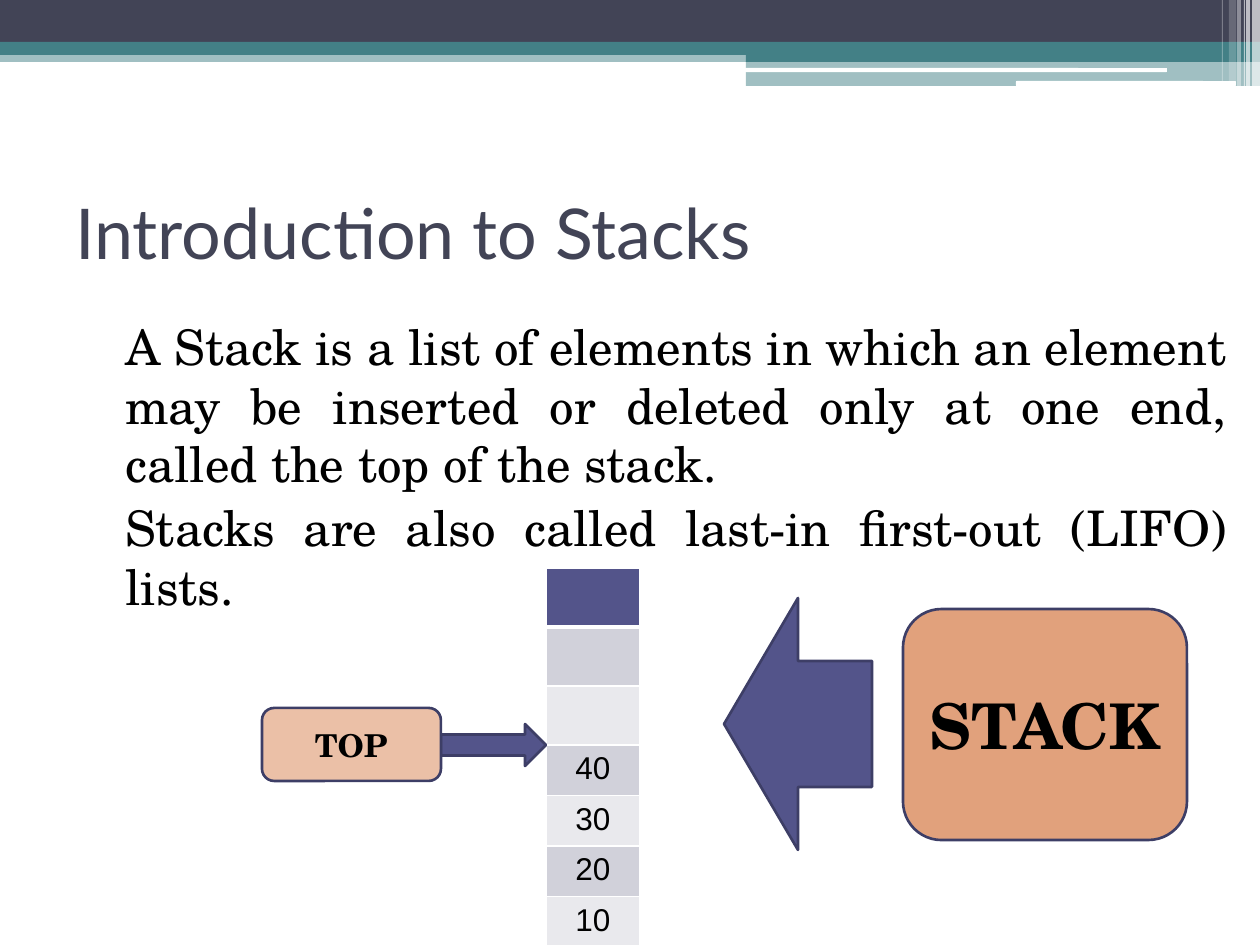
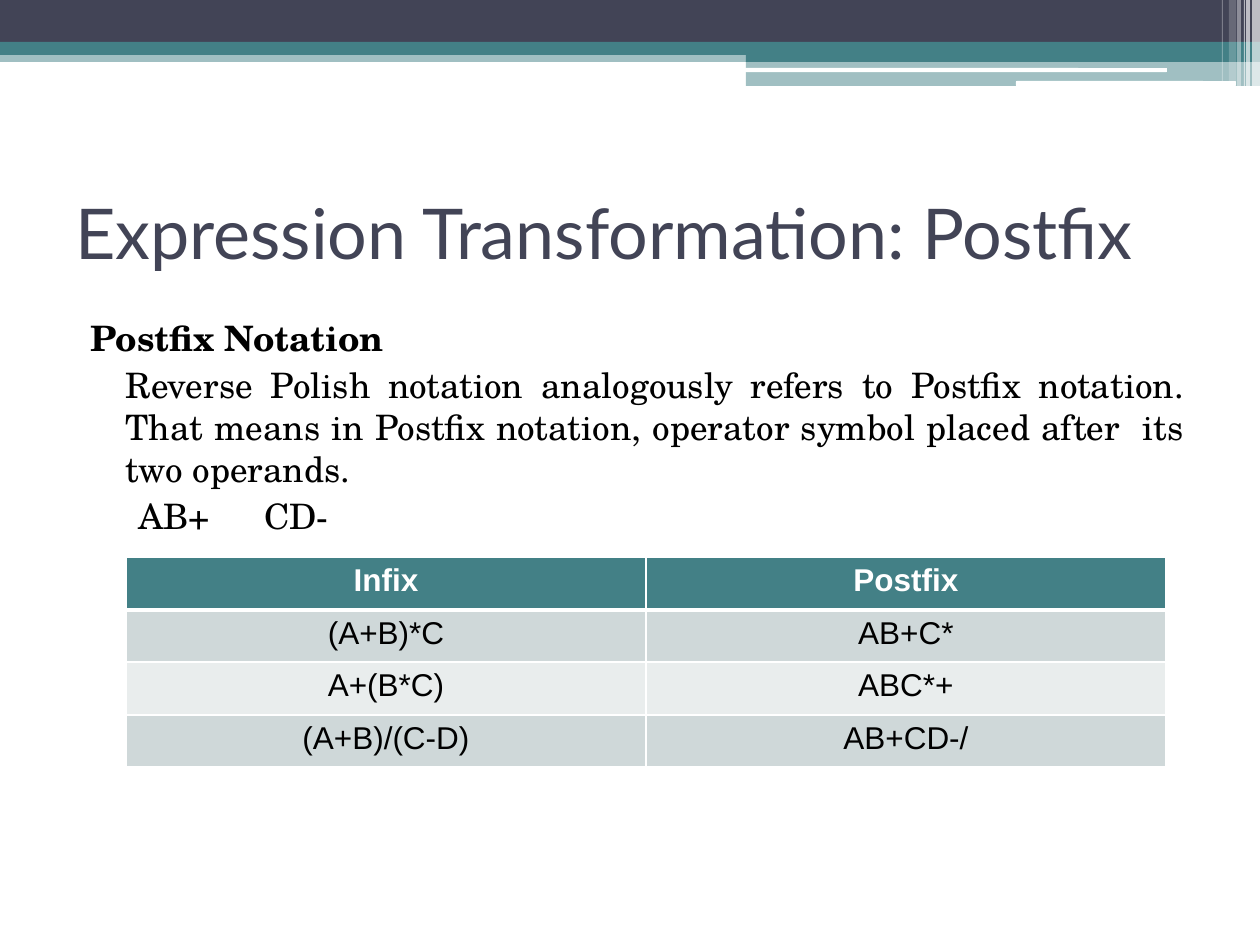
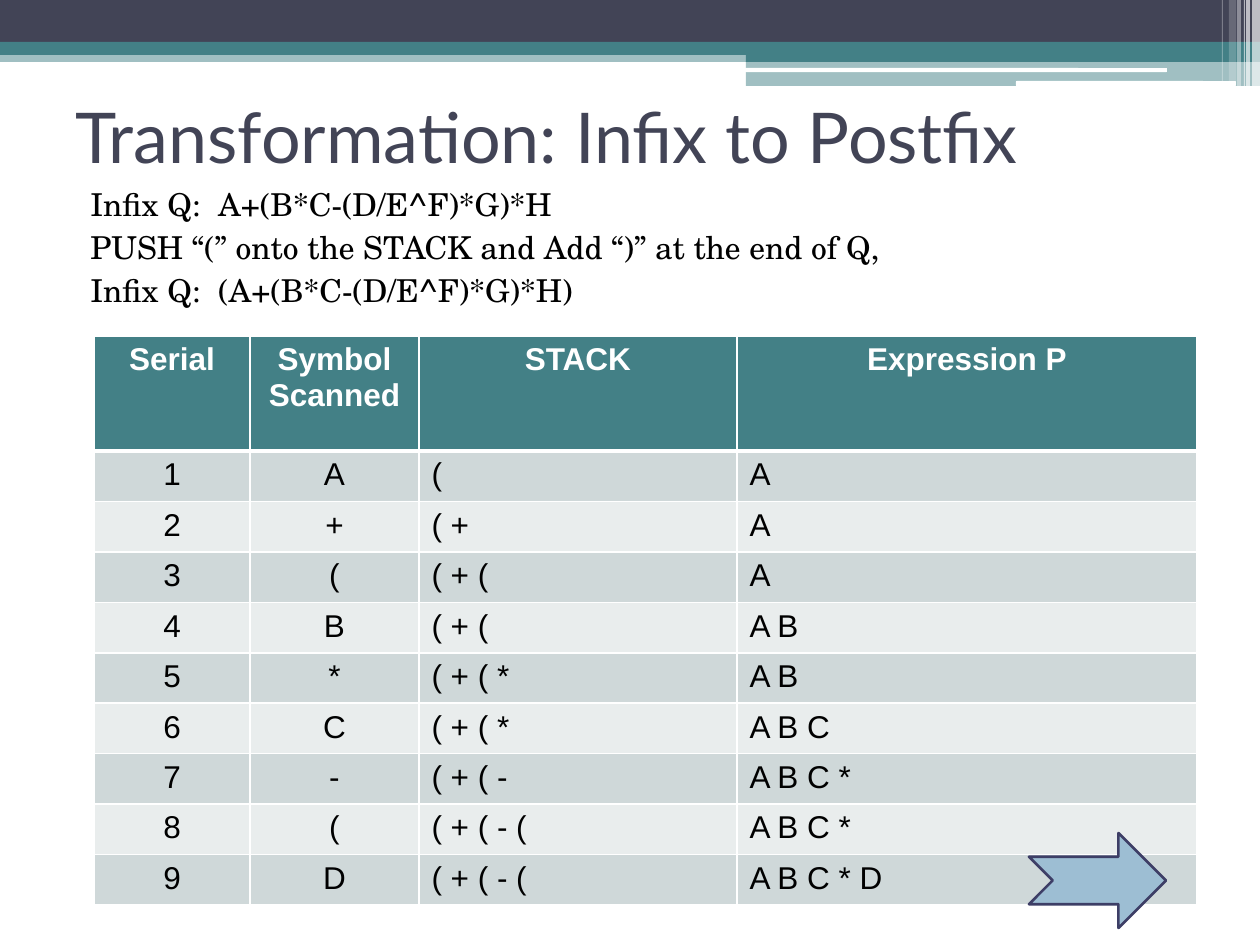
from lxml import etree
from pptx import Presentation
from pptx import util as u
from pptx.dml.color import RGBColor
from pptx.enum import shapes, text
from pptx.oxml import ns

PX = 914400 / 126  # EMU in one px

INK = RGBColor(0x42, 0x44, 0x56)
TEAL = RGBColor(0x43, 0x80, 0x86)
TEAL_MID = RGBColor(0xCF, 0xD8, 0xD9)
TEAL_PALE = RGBColor(0xE9, 0xED, 0xED)
INDIGO = RGBColor(0x53, 0x54, 0x8A)
INDIGO_DARK = RGBColor(0x3D, 0x3E, 0x66)
INDIGO_MID = RGBColor(0xD1, 0xD1, 0xDA)
INDIGO_PALE = RGBColor(0xE9, 0xE9, 0xED)
PEACH = RGBColor(0xEB, 0xC0, 0xA7)
ORANGE = RGBColor(0xE1, 0xA1, 0x7C)
SKY = RGBColor(0x9D, 0xBE, 0xD3)
WHITE = RGBColor(0xFF, 0xFF, 0xFF)
BLACK = RGBColor(0, 0, 0)

TITLE_FONT, BODY_FONT, TABLE_FONT = "Lato", "TeX Gyre Schola", "Arial"
TEAL_TABLE = (TEAL, TEAL_MID, TEAL_PALE)
INDIGO_TABLE = (INDIGO, INDIGO_MID, INDIGO_PALE)

LEFT, CENTER, JUSTIFY = text.PP_ALIGN.LEFT, text.PP_ALIGN.CENTER, text.PP_ALIGN.JUSTIFY
TOP, MIDDLE = text.MSO_ANCHOR.TOP, text.MSO_ANCHOR.MIDDLE
KIND = shapes.MSO_SHAPE

# kind, left, top, width, height, colour, opacity in percent
BANDS = [
    (KIND.RECTANGLE, 0, 50, 1260, 12, TEAL, 50),
    (KIND.RECTANGLE, 0, 0, 1260, 43, INK, 100),
    (KIND.RECTANGLE, 0, 42, 1260, 13, TEAL, 100),
    (KIND.RECTANGLE, 746, 49, 514, 13, TEAL, 100),
    (KIND.RECTANGLE, 746, 61, 514, 25, TEAL, 50),
    (KIND.ROUNDED_RECTANGLE, 745, 68, 422, 4, WHITE, 100),
    (KIND.ROUNDED_RECTANGLE, 1016, 81, 220, 5, WHITE, 100),
] + [
    (KIND.RECTANGLE, left, 0, width, height, WHITE, opacity)
    for left, width, height, opacity in [
        (1252, 8, 86, 65), (1246, 4, 86, 65), (1244, 1, 86, 60),
        (1237, 4, 86, 40), (1229, 7, 81, 20), (1222, 1, 81, 30)]
]


def px(length):
    return u.Emu(round(length * PX))


def write(frame, content, font=BODY_FONT, size=18, color=BLACK, bold=False,
          align=LEFT, before=0, margin=0, indent=0, tabs=()):
    """Fill a frame; each paragraph is a string or a (string, own format) pair."""
    shared = dict(font=font, size=size, color=color, bold=bold, align=align,
                  before=before, margin=margin, indent=indent, tabs=tabs)
    for number, item in enumerate(content):
        words, own = (item, {}) if isinstance(item, str) else item
        style = {**shared, **own}
        paragraph = frame.add_paragraph() if number else frame.paragraphs[0]
        paragraph.alignment = style["align"]
        paragraph.space_before = u.Pt(style["before"])
        properties = paragraph._p.get_or_add_pPr()
        properties.set("marL", str(px(style["margin"])))
        properties.set("indent", str(px(style["indent"])))
        if style["tabs"]:
            stops = etree.SubElement(properties, ns.qn("a:tabLst"))
            for stop in style["tabs"]:
                etree.SubElement(stops, ns.qn("a:tab"), pos=str(px(stop)), algn="l")
        run = paragraph.add_run()
        run.text = words
        run.font.name = style["font"]
        run.font.size = u.Pt(style["size"])
        run.font.bold = style["bold"]
        run.font.color.rgb = style["color"]


def border(cell, top, bottom):
    """Draw white borders; top and bottom are widths in points."""
    properties = cell._tc.get_or_add_tcPr()
    widths = {"lnL": 1, "lnR": 1, "lnT": top, "lnB": bottom}
    for position, (side, width) in enumerate(widths.items()):
        line = etree.Element(ns.qn(f"a:{side}"), w=str(u.Pt(width)))
        fill = etree.SubElement(line, ns.qn("a:solidFill"))
        etree.SubElement(fill, ns.qn("a:srgbClr"), val=str(WHITE))
        properties.insert(position, line)


class Deck:
    def __init__(self):
        self.show = Presentation()
        self.show.slide_width, self.show.slide_height = px(1260), px(945)
        self.slide = None

    def new_slide(self, title, top=158, height=147):
        self.slide = self.show.slides.add_slide(self.show.slide_layouts[6])
        for *place, color, opacity in BANDS:
            self.shape(*place, color, opacity=opacity)
        self.text_box(63, top, 1134, height, [title], anchor=MIDDLE,
                      font=TITLE_FONT, size=40, color=INK)

    def text_box(self, left, top, width, height, content, anchor=TOP, **style):
        box = self.slide.shapes.add_textbox(px(left), px(top), px(width), px(height))
        box.text_frame.word_wrap = True
        box.text_frame.vertical_anchor = anchor
        write(box.text_frame, content, **style)

    def body(self, top, width, height, content, **style):
        self.text_box(63, top, width, height, content,
                      **{"align": JUSTIFY, "before": 3, "margin": 50, **style})

    def shape(self, kind, left, top, width, height, color, outline=None,
              opacity=100, label=None, size=18):
        shape = self.slide.shapes.add_shape(kind, px(left), px(top), px(width), px(height))
        shape.shadow.inherit = False
        shape.fill.solid()
        shape.fill.fore_color.rgb = color
        if opacity < 100:
            tint = shape.fill._xPr.find(".//" + ns.qn("a:srgbClr"))
            etree.SubElement(tint, ns.qn("a:alpha"), val=str(opacity * 1000))
        if outline is None:
            shape.line.fill.background()
        else:
            shape.line.color.rgb = outline
            shape.line.width = u.Pt(1.5)
        if label:
            shape.text_frame.vertical_anchor = MIDDLE
            write(shape.text_frame, [label], size=size, bold=True, align=CENTER)

    def table(self, left, top, widths, heights, rows, palette, centered):
        """Draw a banded table; the first `centered` columns are centred."""
        header, odd, even = palette
        table = self.slide.shapes.add_table(
            len(heights), len(widths), px(left), px(top),
            px(sum(widths)), px(sum(heights))).table
        for column, width in zip(table.columns, widths):
            column.width = px(width)
        for r, (values, height) in enumerate(zip(rows, heights)):
            table.rows[r].height = px(height)
            for c, value in enumerate(values):
                cell = table.cell(r, c)
                cell.fill.solid()
                cell.fill.fore_color.rgb = header if r == 0 else odd if r % 2 else even
                border(cell, top=3 if r == 1 else 1, bottom=3 if r == 0 else 1)
                if value:
                    write(cell.text_frame, [value], font=TABLE_FONT, bold=r == 0,
                          color=BLACK if r else WHITE,
                          align=CENTER if r == 0 or c < centered else LEFT)


def introduction(deck):
    deck.new_slide("Introduction to Stacks")
    deck.body(310, 1176, 596, [
        "A Stack is a list of elements in which an element may be inserted or "
        "deleted only at one end, called the top of the stack.",
        "Stacks are also called last-in first-out (LIFO) lists.",
    ], size=28)
    stack = ["", "", "", "40", "30", "20", "10"]
    deck.table(546, 568, [94], [48 if value else 59 for value in stack],
               [[value] for value in stack], INDIGO_TABLE, centered=1)
    deck.shape(KIND.RIGHT_ARROW, 441, 724, 105, 42, INDIGO, INDIGO_DARK)
    deck.shape(KIND.ROUNDED_RECTANGLE, 262, 708, 179, 73, PEACH, INDIGO_DARK, label="TOP")
    deck.shape(KIND.LEFT_ARROW, 724, 598, 148, 252, INDIGO, INDIGO_DARK)
    deck.shape(KIND.ROUNDED_RECTANGLE, 903, 609, 284, 231, ORANGE, INDIGO_DARK,
               label="STACK", size=36)


def postfix_notation(deck):
    deck.new_slide("Expression Transformation: Postfix")
    deck.body(310, 1134, 596, [
        ("Postfix Notation", dict(bold=True, indent=-35)),
        "Reverse Polish notation analogously refers to Postfix notation. That means "
        "in Postfix notation, operator symbol placed after  its two operands.",
        ("\tAB+\tCD-", dict(align=LEFT, margin=0, tabs=(428, 680))),
    ], size=20)
    deck.table(126, 557, [520, 520], [53, 52] * 2, [
        ("Infix", "Postfix"),
        ("(A+B)*C", "AB+C*"),
        ("A+(B*C)", "ABC*+"),
        ("(A+B)/(C-D)", "AB+CD-/"),
    ], TEAL_TABLE, centered=2)


def infix_to_postfix(deck):
    deck.new_slide("Transformation: Infix to Postfix", top=73, height=126)
    deck.body(179, 1176, 746, [
        "Infix Q:  A+(B*C-(D/E^F)*G)*H",
        "PUSH “(” onto the STACK and Add “)” at the end of Q,",
        "Infix Q:  (A+(B*C-(D/E^F)*G)*H)",
    ], indent=-35)
    steps = [
        ("A", "(", "A"),
        ("+", "( +", "A"),
        ("(", "( + (", "A"),
        ("B", "( + (", "A B"),
        ("*", "( + ( *", "A B"),
        ("C", "( + ( *", "A B C"),
        ("-", "( + ( -", "A B C *"),
        ("(", "( + ( - (", "A B C *"),
        ("D", "( + ( - (", "A B C * D"),
    ]
    rows = [("Serial", "Symbol Scanned", "STACK", "Expression P")]
    rows += [(str(serial), *step) for serial, step in enumerate(steps, 1)]
    deck.table(94, 336, [156, 169, 318, 460], [115] + [48] * len(steps),
               rows, TEAL_TABLE, centered=2)
    deck.shape(KIND.NOTCHED_RIGHT_ARROW, 1029, 833, 137, 95, SKY, INDIGO_DARK)


def main():
    deck = Deck()
    introduction(deck)
    postfix_notation(deck)
    infix_to_postfix(deck)
    deck.show.save("out.pptx")


if __name__ == "__main__":
    main()
